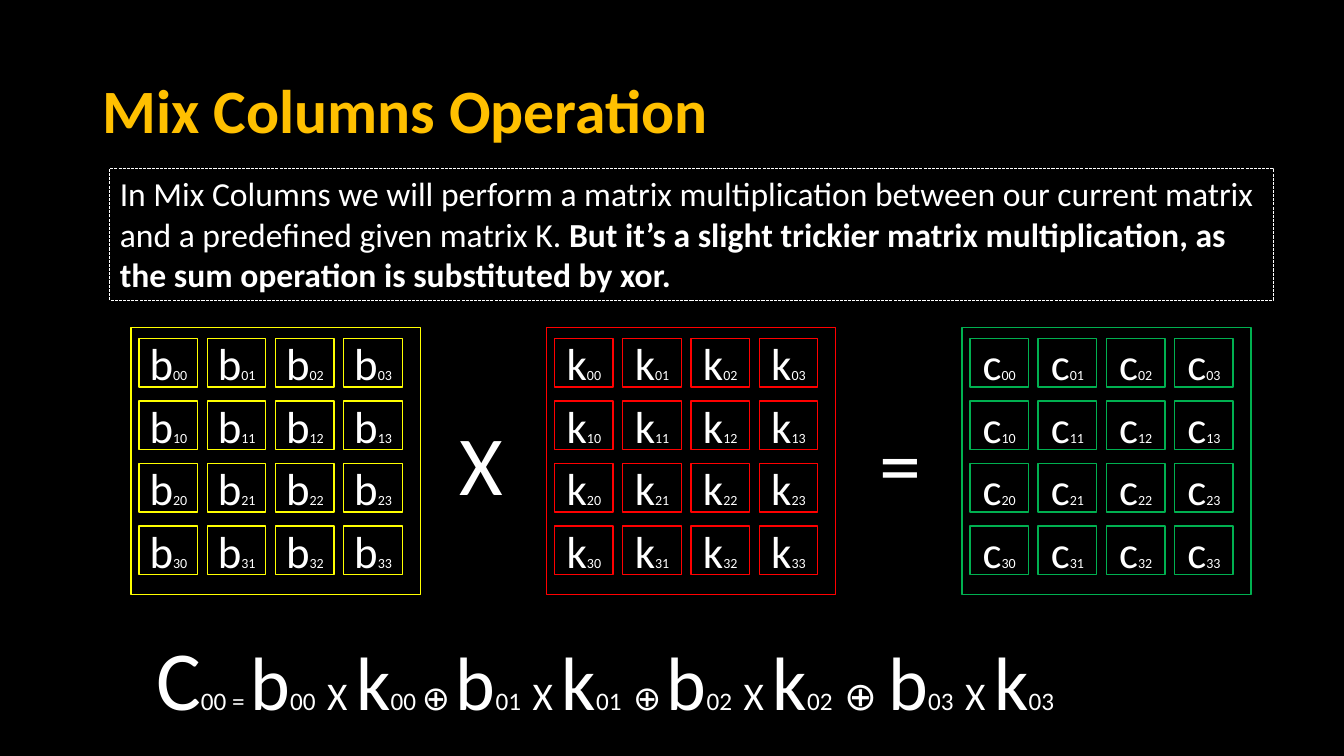
import pptx
import pptx.util
import pptx.dml.color
import pptx.enum.dml
import pptx.enum.shapes
import pptx.enum.text

Inches, Pt = pptx.util.Inches, pptx.util.Pt
RGBColor = pptx.dml.color.RGBColor
ANCHOR = pptx.enum.text.MSO_ANCHOR
ALIGN = pptx.enum.text.PP_ALIGN

BLACK = RGBColor(0x00, 0x00, 0x00)
WHITE = RGBColor(0xFF, 0xFF, 0xFF)
GOLD = RGBColor(0xFF, 0xC0, 0x00)
YELLOW = RGBColor(0xFF, 0xFF, 0x00)
RED = RGBColor(0xFF, 0x00, 0x00)
GREEN = RGBColor(0x00, 0xB0, 0x50)

FONT = "Calibri"
MATRIX_ORDER = 4
CELL_WIDTH, CELL_HEIGHT = 0.58, 0.48
CELL_LEFT, CELL_TOP = 0.08, 0.11
COLUMN_STEP, ROW_STEP = 2.03 / 3, 0.62


def write(paragraph, pieces, color=WHITE):
    """Fill a paragraph with (text, size) pieces and return its runs."""
    paragraph.font.name = FONT
    paragraph.font.color.rgb = color
    sizes = {size for _, size in pieces}
    if len(sizes) == 1:
        paragraph.font.size = Pt(sizes.pop())
    runs = []
    for text, size in pieces:
        run = paragraph.add_run()
        run.text = text
        if paragraph.font.size is None:
            run.font.size = Pt(size)
        runs.append(run)
    return runs


def add_frame(slide, box, color, weight=1):
    """Add an unfilled rectangle outlined in the given colour."""
    frame = slide.shapes.add_shape(
        pptx.enum.shapes.MSO_SHAPE.RECTANGLE, *map(Inches, box))
    frame.shadow.inherit = False
    frame.fill.background()
    frame.line.color.rgb = color
    frame.line.width = Pt(weight)
    return frame


def add_label(slide, box, pieces, color=WHITE, anchor=ANCHOR.TOP):
    """Add wrapped text in a box and return its paragraph and runs."""
    frame = slide.shapes.add_textbox(*map(Inches, box)).text_frame
    frame.word_wrap = True
    frame.vertical_anchor = anchor
    paragraph = frame.paragraphs[0]
    return paragraph, write(paragraph, pieces, color)


def add_title(slide, box):
    """Add the slide heading."""
    heading, _ = add_label(
        slide, box, [("Mix Columns Operation", 44)], GOLD, ANCHOR.MIDDLE)
    heading.font.bold = True
    heading.line_spacing = 0.9


def add_explanation(slide, box):
    """Add the dashed box that explains the operation."""
    explanation = add_frame(slide, box, WHITE, 0.75)
    explanation.line.dash_style = pptx.enum.dml.MSO_LINE.SQUARE_DOT
    explanation.text_frame.vertical_anchor = ANCHOR.TOP
    paragraph = explanation.text_frame.paragraphs[0]
    paragraph.alignment = ALIGN.LEFT
    _, caveat = write(paragraph, [
        ("In Mix Columns we will perform a matrix multiplication between our "
         "current matrix and a predefined given matrix K. ", 24),
        ("But it\u2019s a slight trickier matrix multiplication, as the sum "
         "operation is substituted by\u00a0xor.", 24)])
    caveat.font.bold = True


def add_matrix(slide, box, letter, color):
    """Add a framed matrix of indexed cells."""
    left, top, _, _ = box
    add_frame(slide, box, color)
    for row in range(MATRIX_ORDER):
        for column in range(MATRIX_ORDER):
            cell = add_frame(slide, (
                left + CELL_LEFT + column * COLUMN_STEP,
                top + CELL_TOP + row * ROW_STEP,
                CELL_WIDTH, CELL_HEIGHT), color)
            cell.text_frame.word_wrap = False
            cell.text_frame.vertical_anchor = ANCHOR.MIDDLE
            entry = cell.text_frame.paragraphs[0]
            entry.alignment = ALIGN.CENTER
            write(entry, [(letter, 32), (f"{row}{column}", 10)])


def add_equation(slide, box):
    """Add matrix b times matrix k equals matrix c, spread over the box."""
    left, top, width, height = box
    matrix_width = 2.87
    step = (width - matrix_width) / 2
    for place, (letter, color) in enumerate(
            [("b", YELLOW), ("k", RED), ("c", GREEN)]):
        add_matrix(slide, (left + place * step, top, matrix_width, height),
                   letter, color)
    for place, sign in enumerate("X="):
        add_label(slide, (left + 3.16 + place * (step + 0.04), top + 0.78,
                          0.67, 1.11), [(sign, 60)])


def add_formula(slide, box):
    """Add the expansion of the first result cell."""
    # Each xor sign: size, then the size of the space before and after it.
    xor_signs = [(24, 18, 18), (24, 36, 18), (28, 36, 36)]
    pieces = [("C", 60), ("00 = ", 18)]
    for term in range(MATRIX_ORDER):
        index = f"0{term}"
        if term:
            size, before, after = xor_signs[term - 1]
            pieces += [(" ", before), ("\u2295", size), (" ", after)]
        pieces += [("b", 54), (index, 18), (" ", 36), ("X ", 28),
                   ("k", 54), (index, 18)]
    add_label(slide, box, pieces)


def build_slide(presentation):
    """Compose the Mix Columns slide."""
    slide = presentation.slides.add_slide(presentation.slide_layouts[6])
    slide.background.fill.solid()
    slide.background.fill.fore_color.rgb = BLACK
    add_title(slide, (0.92, 0.4, 11.5, 1.45))
    add_explanation(slide, (1.09, 1.67, 11.54, 1.31))
    add_equation(slide, (1.3, 3.25, 11.11, 2.65))
    add_formula(slide, (1.45, 6.17, 10.43, 1.41))


presentation = pptx.Presentation()
presentation.slide_width = Inches(13.33)
presentation.slide_height = Inches(7.5)
build_slide(presentation)
presentation.save("out.pptx")
